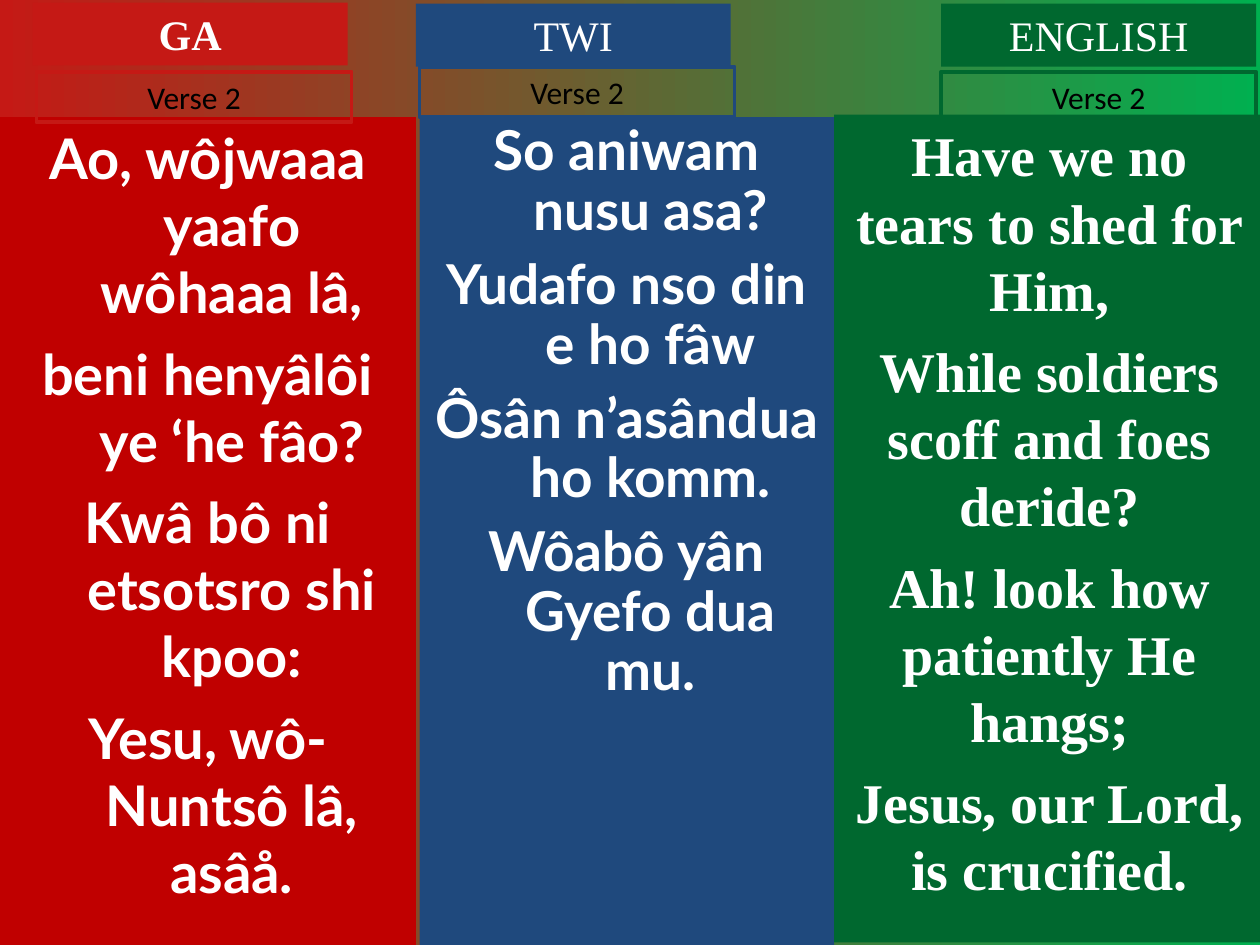
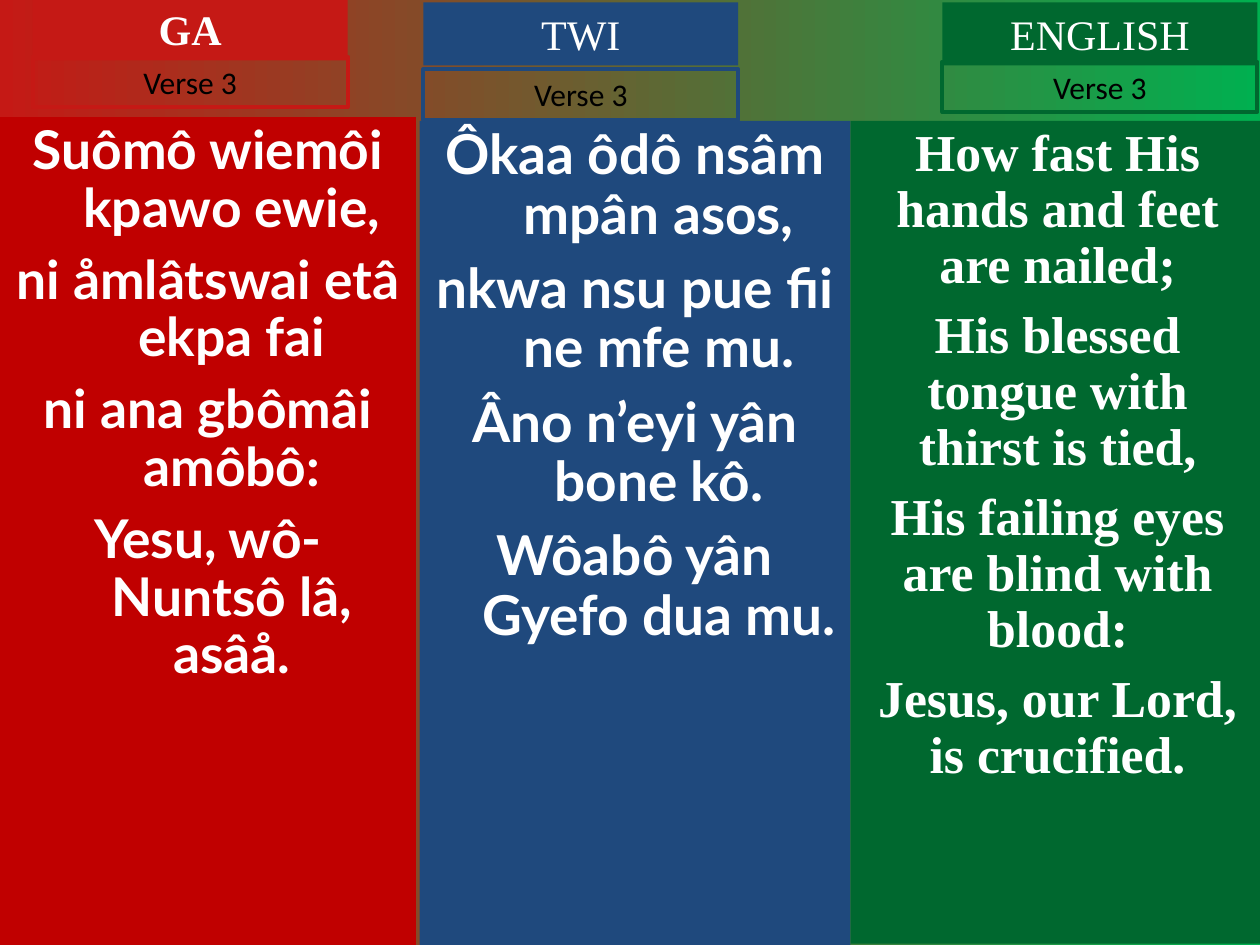
from collections import namedtuple

from lxml import etree
from pptx import Presentation, util as u
from pptx.dml.color import RGBColor
from pptx.enum import shapes, text
from pptx.oxml.ns import qn

COLORS = {
    "crimson": "C51915", "red": "C00000", "blue": "1F497D", "green": "00682F",
    "leaf": "00B050", "white": "FFFFFF", "black": "000000",
}
COLUMNS, ROWS = 100, 75
CELL = u.Inches(0.1)
HEAD_SIZE = (25, 5)
VERSE_SIZE = (25, 4)
HANG = u.Inches(0.38)
SERIF = "Times New Roman"

Language = namedtuple("Language", "name accent panel font bold_head hanging")
Stanza = namedtuple("Stanza", "head verse panel size spacing before lines")

LANGUAGES = [
    Language("GA", "crimson", "red", "Lato", True, True),
    Language("TWI", "blue", "blue", "Lato", False, True),
    Language("ENGLISH", "green", "green", SERIF, False, False),
]
VERSES = {
    "Verse 2": [
        Stanza((2.6, 0.2), (2.9, 5.7), (0, 9.3, 33, 65.7), 32, 1, 8,
               ["Ao, wôjwaaa yaafo wôhaaa lâ,", "beni henyâlôi ye ‘he fâo?",
                "Kwâ bô ni etsotsro shi kpoo:", "Yesu, wô-Nuntsô lâ, asâå."]),
        Stanza((33, 0.3), (33.3, 5.3), (33.3, 9.3, 32.9, 65.7), 31.4, 0.9, 8.5,
               ["So aniwam nusu asa?", "Yudafo nso din e ho fâw",
                "Ôsân n’asândua ho komm.", "Wôabô yân Gyefo dua mu."]),
        Stanza((74.7, 0.3), (74.7, 5.7), (66.2, 9.1, 34.2, 65.7), 32, 1, 8,
               ["Have we no tears to shed for Him,",
                "While soldiers scoff and foes deride?",
                "Ah! look how patiently He hangs;",
                "Jesus, our Lord, is crucified."]),
    ],
    "Verse 3": [
        Stanza((2.6, -0.2), (2.6, 4.5), (0, 9.3, 33, 65.7), 30.5, 0.9, 8.2,
               ["Suômô wiemôi kpawo ewie,", "ni åmlâtswai etâ ekpa fai",
                "ni ana gbômâi amôbô:", "Yesu, wô-Nuntsô lâ, asâå."]),
        Stanza((33.6, 0.2), (33.6, 5.5), (33.3, 9.6, 34.2, 65.4), 31.4, 0.9, 8.5,
               ["Ôkaa ôdô nsâm mpân asos,", "nkwa nsu pue fii ne mfe mu.",
                "Âno n’eyi yân bone kô.", "Wôabô yân Gyefo dua mu."]),
        Stanza((74.8, 0.2), (74.8, 4.9), (67.5, 9.6, 32.9, 65.3), 29.6, 0.9, 8,
               ["How fast His hands and feet are nailed;",
                "His blessed tongue with thirst is tied,",
                "His failing eyes are blind with blood:",
                "Jesus, our Lord, is crucified."]),
    ],
}


def rgb(name):
    """Return the named colour."""
    return RGBColor.from_string(COLORS[name])


def place(box, column, row, columns, rows):
    """Put a box on the grid."""
    box.left, box.top, box.width, box.height = (
        round(cells * CELL) for cells in (column, row, columns, rows))


def add_box(page):
    """Add a rectangle without shadow."""
    box = page.shapes.add_shape(shapes.MSO_SHAPE.RECTANGLE, 0, 0, CELL, CELL)
    box.shadow.inherit = False
    return box


def paint(box, fill=None, line=None):
    """Set the fill and the outline of a box."""
    if fill:
        box.fill.solid()
        box.fill.fore_color.rgb = rgb(fill)
    else:
        box.fill.background()
    if line:
        box.line.color.rgb = rgb(line)
        box.line.width = u.Pt(2.25)
    else:
        box.line.fill.background()


def write(box, lines, font, size, color, bold=False, spacing=1, before=0, hang=0):
    """Fill a box with centred paragraphs, from the top down."""
    frame = box.text_frame
    frame.text = "\n".join(lines)
    frame.word_wrap = True
    frame.auto_size = text.MSO_AUTO_SIZE.NONE
    frame.vertical_anchor = text.MSO_ANCHOR.TOP
    frame.margin_left = frame.margin_right = u.Inches(0.1)
    frame.margin_top = frame.margin_bottom = u.Inches(0.05)
    for index, para in enumerate(frame.paragraphs):
        para.alignment = text.PP_ALIGN.CENTER
        para.line_spacing = spacing
        para.space_before = u.Pt(before if index else 0)
        para.space_after = u.Pt(0)
        props = para._p.get_or_add_pPr()
        props.set("marL", str(hang))
        props.set("indent", str(-hang))
        etree.SubElement(props, qn("a:buNone"))
        for span in para.runs:
            span.font.name = font
            span.font.size = u.Pt(size)
            span.font.bold = bold
            span.font.color.rgb = rgb(color)


def add_panel(box, language, stanza):
    """Format a box as a column of lyrics."""
    place(box, *stanza.panel)
    paint(box, fill=language.panel)
    write(box, stanza.lines, language.font, stanza.size, "white", True,
          stanza.spacing, stanza.before, HANG if language.hanging else 0)


def add_heading(box, language, stanza):
    """Format a box as the name of a language."""
    place(box, *stanza.head, *HEAD_SIZE)
    paint(box, fill=language.accent)
    write(box, [language.name], SERIF, 24, "white", language.bold_head)


def add_verse_label(box, language, stanza, verse):
    """Format a box as an outlined verse label."""
    place(box, *stanza.verse, *VERSE_SIZE)
    paint(box, line=language.accent)
    write(box, [verse], "Calibri", 18, "black")


def set_background(page):
    """Give the page a gradient from left to right."""
    fill = page.background.fill
    fill.gradient()
    fill.gradient_angle = 0
    for stop, name in zip(fill.gradient_stops, ("crimson", "leaf")):
        stop.color.rgb = rgb(name)


def add_verse_page(deck, verse, stanzas):
    """Add a page with one verse in three languages."""
    page = deck.slides.add_slide(deck.slide_layouts[3])
    set_background(page)
    title, *bodies = page.placeholders
    panels = [*bodies[:2], add_box(page)]
    heads = [title, add_box(page), add_box(page)]
    for language, stanza, panel, head in zip(LANGUAGES, stanzas, panels, heads):
        add_panel(panel, language, stanza)
        add_heading(head, language, stanza)
        add_verse_label(add_box(page), language, stanza, verse)


def main():
    """Build the deck."""
    deck = Presentation()
    deck.slide_width, deck.slide_height = COLUMNS * CELL, ROWS * CELL
    for verse, stanzas in VERSES.items():
        add_verse_page(deck, verse, stanzas)
    deck.save("out.pptx")


if __name__ == "__main__":
    main()
